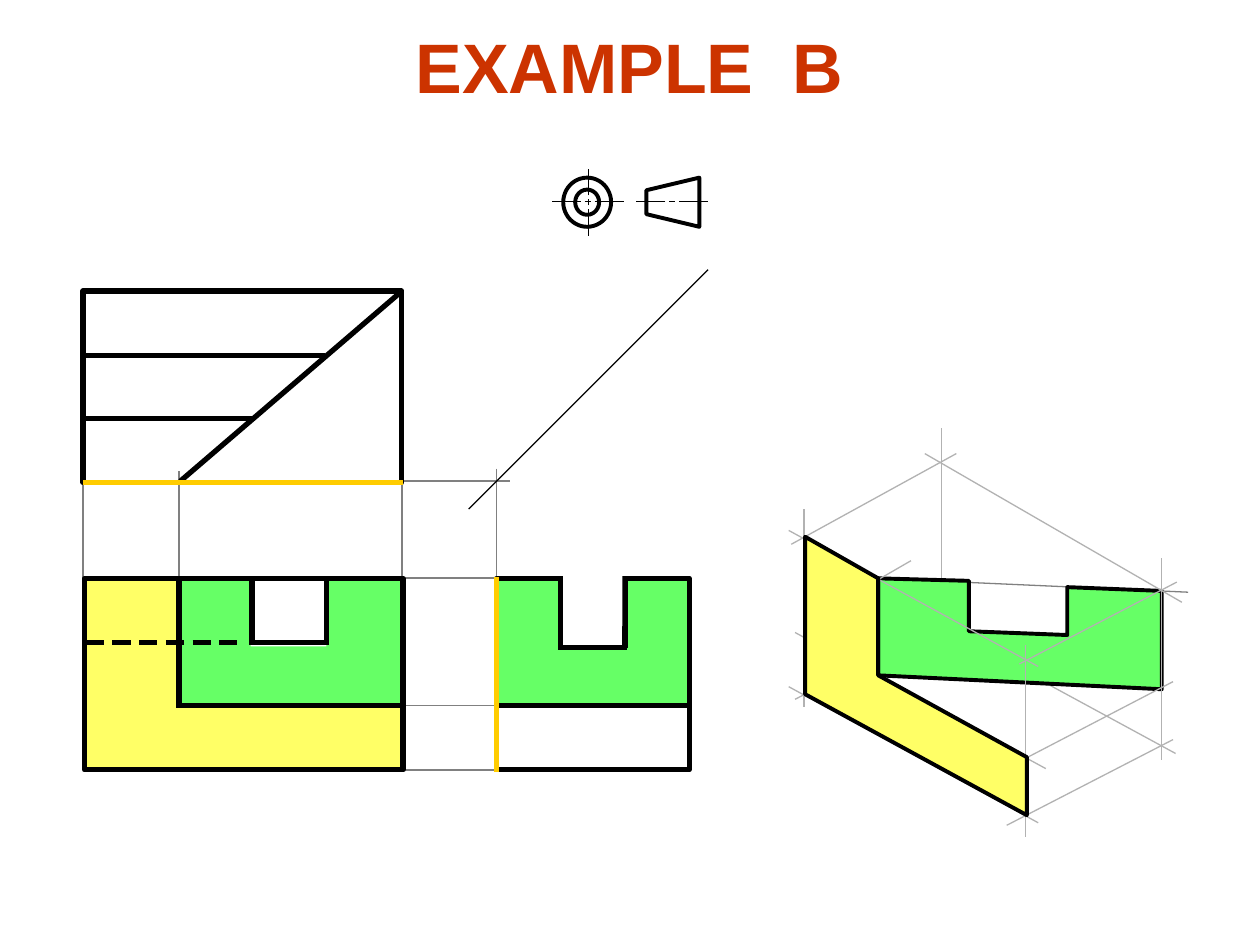
from lxml import etree
from pptx import Presentation
from pptx import util as u
from pptx.dml.color import RGBColor
from pptx.enum import shapes as sh, text as tx
from pptx.oxml.ns import qn

BLACK, GREY, PALE = "000000", "808080", "B2B2B2"
GOLD, YELLOW, GREEN, WHITE = "FFCC00", "FFFF66", "66FF66", "FFFFFF"
THIN = {"color": BLACK, "width": 1}
BOLD = {"color": BLACK, "width": 3}
EDGE = {"color": BLACK, "width": 2.25}
GUIDE = {"color": GREY, "width": 1}
FINE = {"color": GREY, "width": 0.75}
ISO = {"color": PALE, "width": 0.75}
MITRE = {"color": BLACK, "width": 0.75}
DATUM = {"color": GOLD, "width": 3}

# Lines are x1, y1, x2, y2
guides = [
    (2.99, 3.82, 4.05, 3.82), (3.94, 3.72, 3.94, 4.78),
    (3.09, 5.6, 4.05, 5.6), (3.08, 6.11, 4.04, 6.11), (3.06, 4.59, 4.02, 4.59),
    (3.19, 5.67, 3.19, 3.69), (1.42, 4.69, 1.42, 3.74), (0.66, 4.71, 0.66, 3.76),
]
front_l = [(0.66, 6.1), (3.19, 6.1), (3.19, 5.6), (1.41, 5.6), (1.41, 4.6), (0.67, 4.6)]
side_u = [(3.94, 5.61), (5.47, 5.61), (5.47, 4.6), (4.96, 4.6),
          (4.96, 5.14), (4.44, 5.14), (4.44, 4.59), (3.93, 4.59)]
front_u = [(1.42, 5.6), (3.18, 5.6), (3.18, 4.59), (2.59, 4.59),
           (2.59, 5.13), (1.99, 5.13), (1.99, 4.58), (1.41, 4.58)]
cone = [(5.55, 1.41), (5.55, 1.8), (5.13, 1.7), (5.13, 1.51)]
axes = [(x + a, 1.6, x + b, 1.6) for x in (4.67, 5.34)
        for a, b in ((-0.03, 0.02), (0.05, 0.28), (-0.06, -0.29))]
axes += [(4.67, a, 4.67, b) for a, b in ((1.63, 1.58), (1.55, 1.34), (1.87, 1.66))]
views = [(0.66, 2.31, 2.53, 1.52), (0.67, 4.59, 2.53, 1.52), (3.94, 4.59, 1.53, 1.52)]
edges = [
    (1.43, 3.82, 3.19, 2.31), (0.66, 2.82, 2.58, 2.82), (0.66, 3.32, 2, 3.32),
    (1.4, 5.6, 3.19, 5.6), (1.42, 4.59, 1.42, 5.61), (3.95, 5.6, 5.46, 5.6),
    (2, 4.59, 2, 5.11), (1.98, 5.1, 2.61, 5.1), (4.43, 5.14, 4.98, 5.14),
    (2.59, 4.59, 2.59, 5.11), (4.45, 4.61, 4.45, 5.14), (4.96, 4.61, 4.96, 5.14),
]
dashes = [(0.68 + 0.212 * i, 5.1, 0.825 + 0.212 * i, 5.1) for i in range(6)]
iso_back = [(7.47, 3.4, 7.47, 5.11), (6.31, 5.55, 7.64, 4.87), (7.34, 4.9, 9.33, 5.98)]
iso_u = [(6.97, 5.36), (9.22, 5.47), (9.22, 4.69), (8.47, 4.66),
         (8.47, 5.04), (7.69, 5.01), (7.69, 4.61), (6.97, 4.59)]
iso_box = [
    (7.23, 4.45, 6.78, 4.71), (6.28, 4.32, 7.59, 3.6), (7.99, 6.55, 9.31, 5.87),
    (7.34, 3.6, 9.38, 4.78), (6.38, 4.04, 6.38, 5.61), (6.26, 5.45, 8.24, 6.53),
    (9.22, 4.43, 9.22, 6.03), (8.14, 5.12, 8.14, 6.64), (6.26, 4.21, 8.24, 5.29),
    (8.09, 5.27, 9.34, 4.62), (9.31, 5.41, 8.06, 6.06), (6.31, 5.02, 8.3, 6.1),
]
datums = [(0.66, 3.83, 3.2, 3.83), (3.94, 4.58, 3.94, 6.13)]
iso_l = [(6.39, 5.51), (8.15, 6.47), (8.15, 6.01), (6.97, 5.36), (6.97, 4.59), (6.39, 4.26)]

prs = Presentation()
prs.slide_width, prs.slide_height = u.Inches(10), u.Inches(7.5)
slide = prs.slides.add_slide(prs.slide_layouts[6])


def inch(nums):
    return [u.Inches(n) for n in nums]


def rgb(code):
    return RGBColor.from_string(code)


def stroke(line, pen):
    line.color.rgb = rgb(pen["color"])
    line.width = u.Pt(pen["width"])


def style(shape, fill=None, pen=None):
    shape.shadow.inherit = False
    if fill:
        shape.fill.solid()
        shape.fill.fore_color.rgb = rgb(fill)
    else:
        shape.fill.background()
    if pen:
        stroke(shape.line, pen)
    else:
        shape.line.fill.background()


def draw(lines, pen):
    for ends in lines:
        line = slide.shapes.add_connector(sh.MSO_CONNECTOR.STRAIGHT, *inch(ends))
        stroke(line.line, pen)
        etree.SubElement(line._element.spPr, qn("a:effectLst"))


def area(points, fill=None, pen=None):
    first, *rest = [inch(p) for p in points]
    form = slide.shapes.build_freeform(*first)
    form.add_line_segments(rest, close=True)
    style(form.convert_to_shape(), fill, pen)


def preset(kind, box, fill=None, pen=None):
    shape = slide.shapes.add_shape(kind, *inch(box))
    style(shape, fill, pen)
    return shape


def title(words, box):
    frame = slide.shapes.add_textbox(*inch(box)).text_frame
    frame.word_wrap = False
    frame.auto_size = tx.MSO_AUTO_SIZE.SHAPE_TO_FIT_TEXT
    para = frame.paragraphs[0]
    para.alignment = tx.PP_ALIGN.CENTER
    run = para.add_run()
    run.text = words
    for key, val in {"name": "Arial", "size": u.Pt(40), "bold": True}.items():
        setattr(run.font, key, val)
    run.font.color.rgb = rgb("CC3300")


# Front, top and side views
draw(guides, GUIDE)
area(front_l, YELLOW, MITRE)
draw([(6.73, 4.58, 9.43, 4.7)], FINE)
area(side_u, GREEN)
area(front_u, GREEN)

# Projection symbol
ring = preset(sh.MSO_SHAPE.DONUT, (4.47, 1.41, 0.38, 0.39), pen=EDGE)
ring.adjustments[0] = 0.25
area(cone, pen=EDGE)
draw(axes, THIN)

for view in views:
    preset(sh.MSO_SHAPE.RECTANGLE, view, pen=BOLD)
draw(edges + dashes, BOLD)
preset(sh.MSO_SHAPE.RECTANGLE, (4.47, 4.51, 0.47, 0.46), WHITE)
title("EXAMPLE  B", (3.2, 0.14, 3.59, 0.77))
draw([(3.72, 4.04, 5.62, 2.14)], MITRE)

# Isometric view
draw(iso_back, ISO)
area(iso_u, GREEN, EDGE)
draw(iso_box, ISO)
draw(datums, DATUM)
area(iso_l, YELLOW, EDGE)

prs.save("out.pptx")
